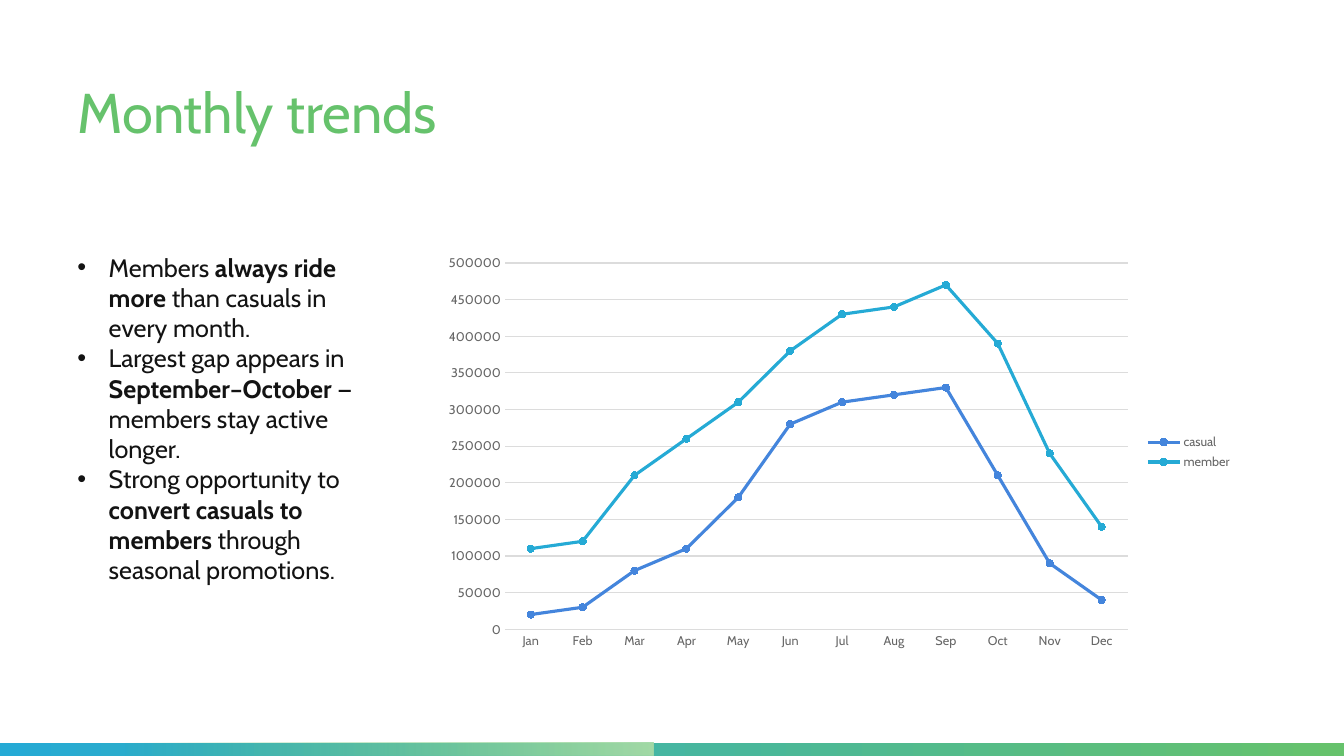
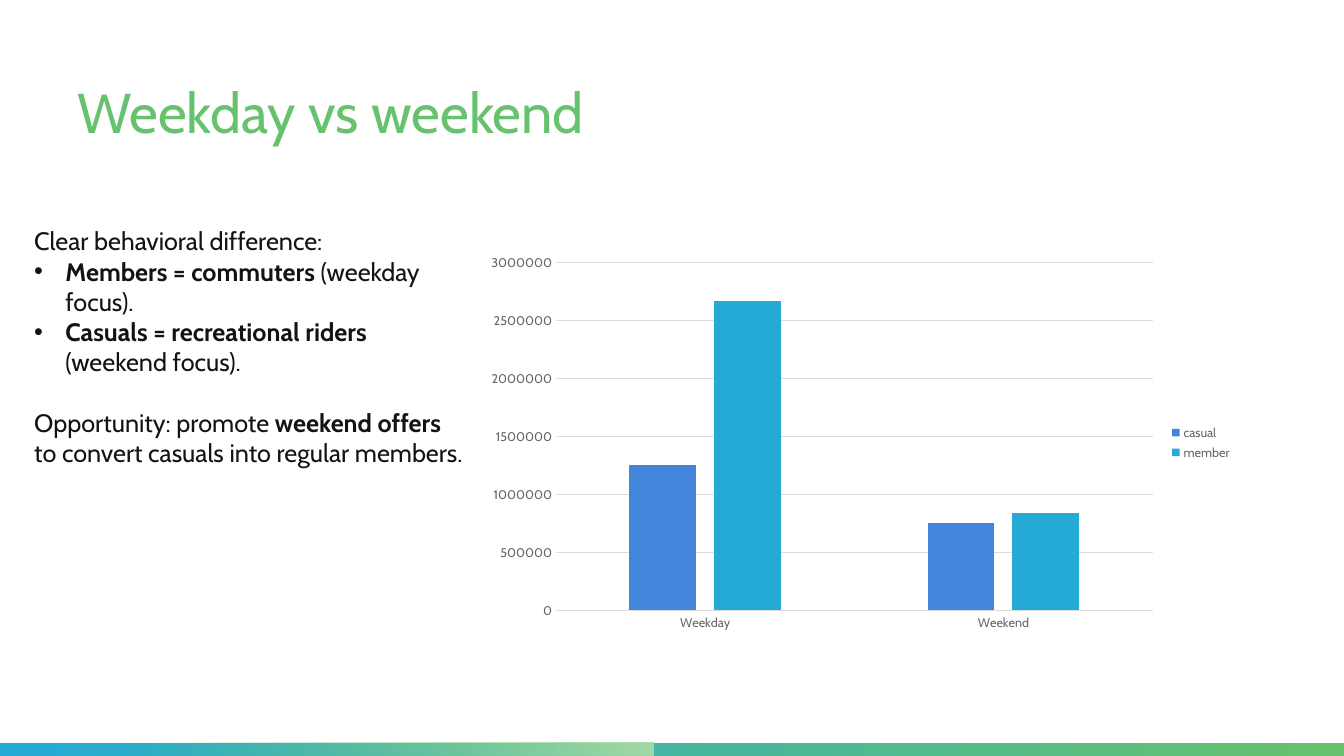
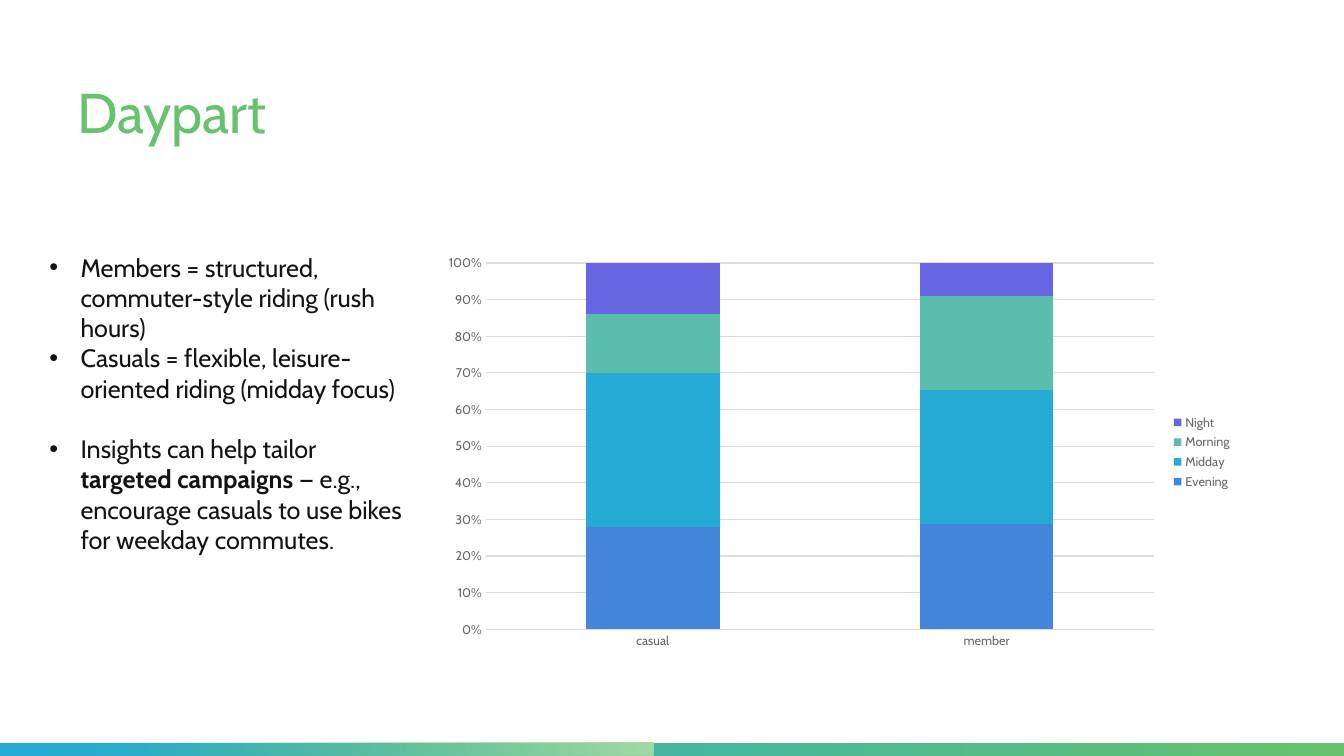
from dataclasses import dataclass

from lxml import etree
from pptx import Presentation
from pptx.chart import data as chart_data
from pptx.dml.color import RGBColor
from pptx.enum import chart as charts, shapes, text
from pptx.oxml import ns
from pptx.util import Inches, Pt

FONT = "Cabin"
GREEN = RGBColor(0x66, 0xC2, 0x6C)
PALE_GREEN = RGBColor(0xA3, 0xDA, 0xA7)
CYAN = RGBColor(0x25, 0xAA, 0xD5)
BLUE = RGBColor(0x44, 0x85, 0xDC)
TEAL = RGBColor(0x5B, 0xBE, 0xAC)
VIOLET = RGBColor(0x66, 0x66, 0xE2)
INK = RGBColor(0x13, 0x13, 0x13)
GREY = RGBColor(0x66, 0x66, 0x66)
GRID = RGBColor(0xDC, 0xDC, 0xDC)
SERIES_COLORS = (BLUE, CYAN, TEAL, VIOLET)

SLIDE_W, SLIDE_H = 13.33, 7.5
BAND_H = 0.13
BULLET_INDENT = 0.31
BLANK_LINE = Pt(21.6)

Box = tuple[float, float, float, float]


@dataclass
class Point:
    """A paragraph; runs between asterisks are bold."""
    wording: str
    bullet: bool = True
    gap_before: bool = False


@dataclass
class ChartSpec:
    kind: charts.XL_CHART_TYPE
    box: Box
    categories: list[str]
    series: dict[str, list[int]]
    top: float
    step: float
    number_format: str = "0"
    gap: int = 150
    overlap: int = 0


@dataclass
class Page:
    title: str
    points_box: Box
    points: list[Point]
    chart: ChartSpec


PAGES = [
    Page(
        "Monthly trends",
        (0.67, 2.45, 3.29, 4.04),
        [
            Point("Members *always ride more *than casuals in every month."),
            Point("Largest gap appears in *September–October* — members stay active longer."),
            Point("Strong opportunity to *convert casuals to members *through seasonal promotions."),
        ],
        ChartSpec(
            charts.XL_CHART_TYPE.LINE_MARKERS,
            (4.29, 2.45, 8.03, 4.07),
            "Jan Feb Mar Apr May Jun Jul Aug Sep Oct Nov Dec".split(),
            {
                "casual": [20000, 30000, 80000, 110000, 180000, 280000,
                           310000, 320000, 330000, 210000, 90000, 40000],
                "member": [110000, 120000, 210000, 260000, 310000, 380000,
                           430000, 440000, 470000, 390000, 240000, 140000],
            },
            top=500000, step=50000,
        ),
    ),
    Page(
        "Weekday vs weekend",
        (0.24, 2.19, 4.48, 2.52),
        [
            Point("Clear behavioral difference:", bullet=False),
            Point("*Members = commuters* (weekday focus)."),
            Point("*Casuals = recreational riders* (weekend focus)."),
            Point("Opportunity: promote *weekend offers* to convert casuals into regular members.",
                  bullet=False, gap_before=True),
        ],
        ChartSpec(
            charts.XL_CHART_TYPE.COLUMN_CLUSTERED,
            (4.72, 2.45, 7.6, 3.88),
            ["Weekday", "Weekend"],
            {"casual": [1250000, 750000], "member": [2670000, 840000]},
            top=3000000, step=500000, gap=219, overlap=-27,
        ),
    ),
    Page(
        "Daypart",
        (0.39, 2.45, 3.72, 3.13),
        [
            Point("Members = structured, commuter-style riding (rush hours)"),
            Point("Casuals = flexible, leisure-oriented riding (midday focus)"),
            Point("Insights can help tailor *targeted campaigns* — e.g., encourage casuals "
                  "to use bikes for weekday commutes.", gap_before=True),
        ],
        ChartSpec(
            charts.XL_CHART_TYPE.COLUMN_STACKED_100,
            (4.29, 2.45, 8.03, 4.07),
            ["casual", "member"],
            {"Evening": [28, 29], "Midday": [42, 37], "Morning": [16, 26], "Night": [14, 9]},
            top=1, step=0.1, number_format="0%", overlap=100,
        ),
    ),
]


def inches(box: Box) -> list[Inches]:
    return [Inches(length) for length in box]


def style_font(font, size: float, color: RGBColor, bold: bool = False) -> None:
    font.name, font.size, font.bold = FONT, Pt(size), bold
    font.color.rgb = color


# Footer band
def add_band(slide, width: float, start: RGBColor, end: RGBColor,
             fade_from: float | None = None) -> None:
    band = slide.shapes.add_shape(shapes.MSO_SHAPE.RECTANGLE,
                                  *inches((0, SLIDE_H - BAND_H, width, BAND_H)))
    band.shadow.inherit = False
    band.line.fill.background()
    band.fill.gradient()
    band.fill.gradient_angle = 0
    first, last = band.fill.gradient_stops
    first.color.rgb, last.color.rgb = start, end
    if fade_from is not None:
        first.position = fade_from
        first_color = next(band.element.iter(ns.qn("a:srgbClr")))
        etree.SubElement(first_color, ns.qn("a:alpha"), val="0")


# Title and text
def add_text_frame(slide, box: Box):
    frame = slide.shapes.add_textbox(*inches(box)).text_frame
    frame.word_wrap = True
    frame.vertical_anchor = text.MSO_ANCHOR.TOP
    return frame


def add_title(slide, title: str) -> None:
    heading = add_text_frame(slide, (0.67, 0.8, 7.89, 1.4)).paragraphs[0]
    heading.text = title
    heading.line_spacing = 0.9
    style_font(heading.runs[0].font, 40, GREEN)


def set_bullet(paragraph) -> None:
    properties = paragraph._p.get_or_add_pPr()
    properties.set("marL", str(Inches(BULLET_INDENT)))
    properties.set("indent", str(-Inches(BULLET_INDENT)))
    etree.SubElement(properties, ns.qn("a:buFont"), typeface="Arial")
    etree.SubElement(properties, ns.qn("a:buChar"), char="•")


def add_points(slide, box: Box, points: list[Point]) -> None:
    frame = add_text_frame(slide, box)
    for index, point in enumerate(points):
        paragraph = frame.paragraphs[0] if index == 0 else frame.add_paragraph()
        if point.gap_before:
            paragraph.space_before = BLANK_LINE
        if point.bullet:
            set_bullet(paragraph)
        for part, wording in enumerate(point.wording.split("*")):
            if wording:
                run = paragraph.add_run()
                run.text = wording
                style_font(run.font, 18, INK, bold=part % 2 == 1)


# Charts
def style_axes(chart, spec: ChartSpec) -> None:
    months_or_groups, scale = chart.category_axis, chart.value_axis
    for axis in (months_or_groups, scale):
        axis.major_tick_mark = axis.minor_tick_mark = charts.XL_TICK_MARK.NONE
        style_font(axis.tick_labels.font, 9, GREY)
    scale.minimum_scale, scale.maximum_scale, scale.major_unit = 0, spec.top, spec.step
    scale.tick_labels.number_format = spec.number_format
    scale.tick_labels.number_format_is_linked = False
    scale.format.line.fill.background()
    scale.has_major_gridlines = True
    for line in (months_or_groups.format.line, scale.major_gridlines.format.line):
        line.color.rgb, line.width = GRID, Pt(0.75)


def style_series(plot, spec: ChartSpec) -> None:
    is_line = spec.kind == charts.XL_CHART_TYPE.LINE_MARKERS
    plot.vary_by_categories = False
    if not is_line:
        plot.gap_width, plot.overlap = spec.gap, spec.overlap
    for series, color in zip(plot.series, SERIES_COLORS):
        if is_line:
            series.smooth = False
            series.format.line.color.rgb, series.format.line.width = color, Pt(2.25)
            marker = series.marker
            marker.style, marker.size = charts.XL_MARKER_STYLE.CIRCLE, 5
            marker.format.fill.solid()
            marker.format.fill.fore_color.rgb = color
            marker.format.line.color.rgb = color
        else:
            series.format.fill.solid()
            series.format.fill.fore_color.rgb = color


def add_chart(slide, spec: ChartSpec) -> None:
    rides = chart_data.CategoryChartData()
    rides.categories = spec.categories
    for name, values in spec.series.items():
        rides.add_series(name, values)
    chart = slide.shapes.add_chart(spec.kind, *inches(spec.box), rides).chart
    style_font(chart.font, 10, INK)
    chart.has_title = False
    chart.has_legend = True
    chart.legend.position = charts.XL_LEGEND_POSITION.RIGHT
    chart.legend.include_in_layout = False
    style_font(chart.legend.font, 9, GREY)
    style_axes(chart, spec)
    style_series(chart.plots[0], spec)


def main() -> None:
    deck = Presentation()
    deck.slide_width, deck.slide_height = Inches(SLIDE_W), Inches(SLIDE_H)
    for page in PAGES:
        slide = deck.slides.add_slide(deck.slide_layouts[6])
        add_band(slide, SLIDE_W, CYAN, GREEN)
        add_band(slide, 6.48, GREEN, PALE_GREEN, fade_from=0.19)
        add_title(slide, page.title)
        add_chart(slide, page.chart)
        add_points(slide, page.points_box, page.points)
    deck.save("out.pptx")


if __name__ == "__main__":
    main()
